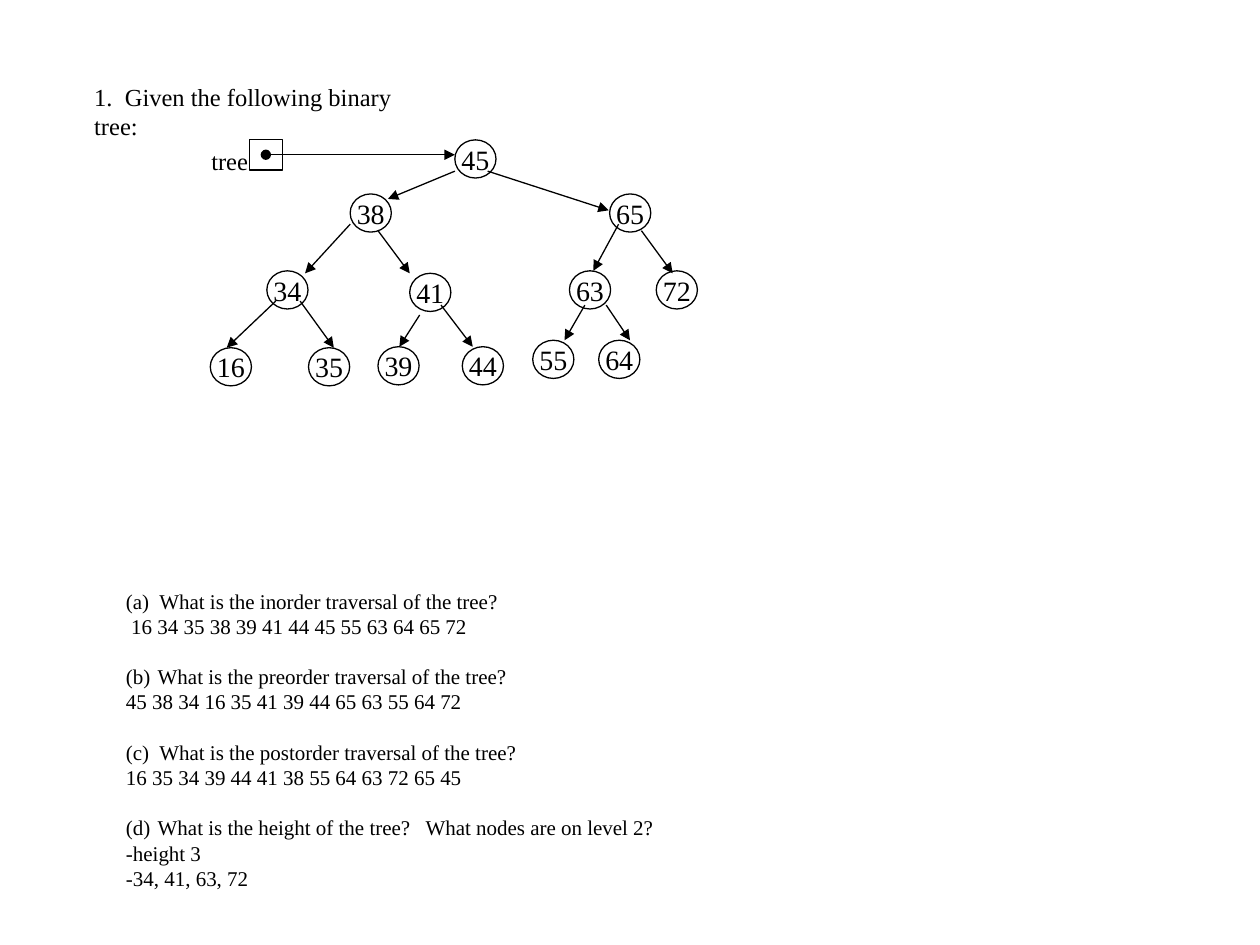
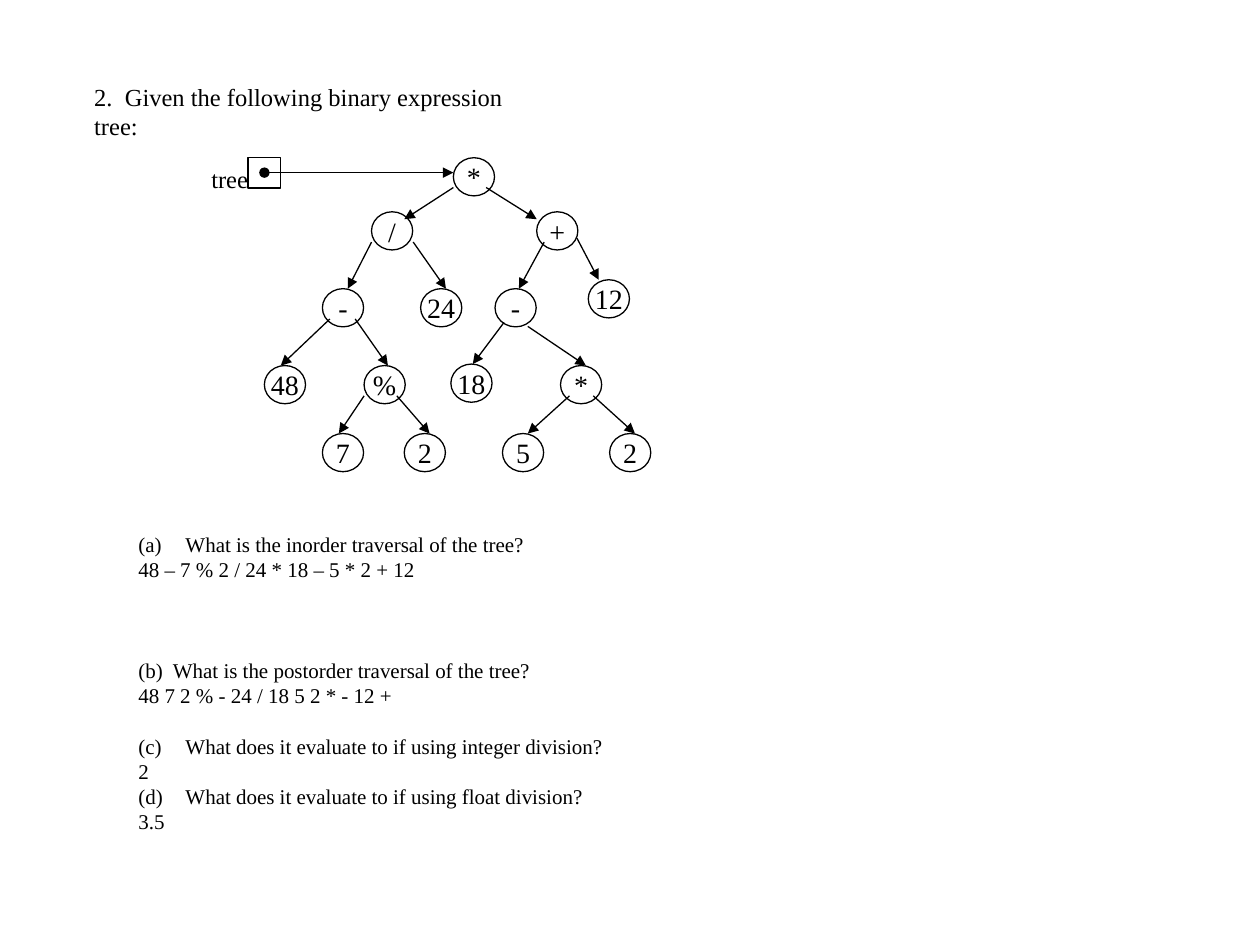
from lxml import etree
from pptx import Presentation
from pptx import util as u
from pptx.dml import color
from pptx.enum import shapes, text
from pptx.oxml import ns

FONT = "Times New Roman"
INK = "000000"
LINE_WIDTH = u.Pt(0.75)
NODE_WIDTH, NODE_HEIGHT = 0.83, 0.77
LINE_HEIGHT = 1.2


def paint(value):
    return color.RGBColor.from_string(value)


def write(para, words, size, align=text.PP_ALIGN.LEFT, gap=0, number=None, hang=0):
    para.alignment = align
    para.line_spacing = u.Pt(size * LINE_HEIGHT)
    para.space_before = u.Pt(size * LINE_HEIGHT * gap)
    span = para.add_run()
    span.text = words
    span.font.name = FONT
    span.font.size = u.Pt(size)
    span.font.color.rgb = paint(INK)
    if number:
        props = para._p.get_or_add_pPr()
        props.set("marL", str(u.Cm(hang)))
        props.set("indent", str(-u.Cm(hang)))
        etree.SubElement(props, ns.qn("a:buAutoNum"), type="alphaLcParenBoth", startAt=str(number))


exercises = [
    {
        "title": "1.  Given the following binary tree:",
        "title_width": 7.3,
        "nodes": [
            ("45", 9.17, 2.82), ("38", 7.06, 3.91), ("65", 12.29, 3.91),
            ("34", 5.38, 5.46), ("41", 8.26, 5.51), ("63", 11.48, 5.46),
            ("72", 13.23, 5.46), ("16", 4.24, 7.01), ("35", 6.22, 7.01),
            ("39", 7.62, 6.99), ("44", 9.32, 6.99), ("55", 10.74, 6.86),
            ("64", 12.07, 6.86),
        ],
        "edges": [
            (9.17, 3.45, 7.82, 4.01), (9.83, 3.45, 12.27, 4.24),
            (7.06, 4.52, 6.15, 5.51), (7.62, 4.65, 8.26, 5.51),
            (12.47, 4.52, 11.96, 5.46), (12.93, 4.65, 13.56, 5.51),
            (5.56, 6.07, 4.57, 7.01), (6.05, 6.07, 6.73, 7.01),
            (8.46, 6.35, 8.05, 6.99), (8.89, 6.15, 9.53, 6.99),
            (11.79, 6.15, 11.38, 6.86), (12.22, 6.15, 12.7, 6.86),
        ],
        "questions_at": (2.29, 11.73, 12, 6.4),
        "hang": 0.64,
        "questions": [
            (0, None, "(a)  What is the inorder traversal of the tree?"),
            (0, None, " 16 34 35 38 39 41 44 45 55 63 64 65 72"),
            (1, 2, "What is the preorder traversal of the tree?"),
            (0, None, "45 38 34 16 35 41 39 44 65 63 55 64 72"),
            (1, None, "(c)  What is the postorder traversal of the tree?"),
            (0, None, "16 35 34 39 44 41 38 55 64 63 72 65 45"),
            (1, 4, "What is the height of the tree?   What nodes are on level 2?"),
            (0, None, "-height 3"),
            (0, None, "-34, 41, 63, 72"),
        ],
    },
    {
        "title": "2.  Given the following binary expression tree:",
        "title_width": 9.5,
        "nodes": [
            ("*", 9.14, 3.18), ("/", 7.49, 4.27), ("+", 10.82, 4.27),
            ("-", 6.5, 5.82), ("24", 8.48, 5.82), ("-", 9.98, 5.82),
            ("12", 11.86, 5.64), ("48", 5.33, 7.37), ("%", 7.34, 7.37),
            ("18", 9.09, 7.34), ("*", 11.3, 7.37), ("7", 6.5, 8.74),
            ("2", 8.15, 8.74), ("5", 10.13, 8.74), ("2", 12.29, 8.74),
        ],
        "edges": [
            (9.14, 3.78, 8.15, 4.42), (9.8, 3.78, 10.82, 4.42),
            (7.49, 4.88, 7.01, 5.82), (8.33, 4.88, 8.99, 5.82),
            (10.97, 4.88, 10.46, 5.82), (11.63, 4.8, 12.07, 5.64),
            (6.65, 6.43, 5.66, 7.37), (7.16, 6.43, 7.82, 7.37),
            (10.16, 6.5, 9.53, 7.34), (10.64, 6.58, 11.81, 7.37),
            (7.34, 7.98, 6.83, 8.74), (8, 7.98, 8.66, 8.74),
            (11.48, 7.98, 10.64, 8.74), (11.96, 7.98, 12.8, 8.74),
        ],
        "questions_at": (2.54, 10.59, 11, 7.44),
        "hang": 0.95,
        "questions": [
            (0, 1, "What is the inorder traversal of the tree?"),
            (0, None, "48 – 7 % 2 / 24 * 18 – 5 * 2 + 12"),
            (3, None, "(b)  What is the postorder traversal of the tree?"),
            (0, None, "48 7 2 % - 24 / 18 5 2 * - 12 +"),
            (1, 3, "What does it evaluate to if using integer division?"),
            (0, None, "2"),
            (0, 4, "What does it evaluate to if using float division?"),
            (0, None, "3.5"),
        ],
    },
]

deck = Presentation()
deck.slide_width, deck.slide_height = u.Cm(25.4), u.Cm(19.05)

for exercise in exercises:
    page = deck.slides.add_slide(deck.slide_layouts[6])

    title = page.shapes.add_textbox(u.Cm(1.65), u.Cm(1.52), u.Cm(exercise["title_width"]), u.Cm(0.84))
    title.text_frame.word_wrap = True
    write(title.text_frame.paragraphs[0], exercise["title"], 14)

    questions = page.shapes.add_textbox(*[u.Cm(value) for value in exercise["questions_at"]])
    questions.text_frame.word_wrap = True
    for index, (gap, number, words) in enumerate(exercise["questions"]):
        frame = questions.text_frame
        para = frame.add_paragraph() if index else frame.paragraphs[0]
        write(para, words, 12, gap=gap, number=number, hang=exercise["hang"])

    tree = page.shapes.add_group_shape().shapes
    root_left, root_top = exercise["nodes"][0][1:]

    outlines = [(shapes.MSO_SHAPE.OVAL, label, left, top, NODE_WIDTH, NODE_HEIGHT)
                for label, left, top in exercise["nodes"]]
    outlines.append((shapes.MSO_SHAPE.RECTANGLE, "", root_left - 4.14, root_top, 0.66, 0.61))
    for kind, label, left, top, width, height in outlines:
        box = tree.add_shape(kind, u.Cm(left), u.Cm(top), u.Cm(width), u.Cm(height))
        box.shadow.inherit = False
        box.fill.background()
        box.line.color.rgb = paint(INK)
        box.line.width = LINE_WIDTH
        if label:
            frame = box.text_frame
            frame.word_wrap = False
            frame.vertical_anchor = text.MSO_ANCHOR.MIDDLE
            frame.margin_left = frame.margin_right = frame.margin_top = frame.margin_bottom = 0
            write(frame.paragraphs[0], label, 16, align=text.PP_ALIGN.CENTER)

    name = tree.add_textbox(u.Cm(4.01), u.Cm(root_top), u.Cm(1.24), u.Cm(0.84))
    name.text_frame.word_wrap = True
    name.text_frame.margin_right = 0
    write(name.text_frame.paragraphs[0], "tree", 14)

    pointer = (root_left - 3.81, root_top + 0.3, root_left, root_top + 0.3)
    for ends in exercise["edges"] + [pointer]:
        arrow = tree.add_connector(shapes.MSO_CONNECTOR.STRAIGHT, *[u.Cm(value) for value in ends])
        arrow.line.color.rgb = paint(INK)
        arrow.line.width = LINE_WIDTH
        stroke = arrow.line._get_or_add_ln()
        if ends == pointer:
            etree.SubElement(stroke, ns.qn("a:headEnd"), type="oval")
        etree.SubElement(stroke, ns.qn("a:tailEnd"), type="triangle")
        etree.SubElement(arrow._element.spPr, ns.qn("a:effectLst"))

deck.save("out.pptx")
